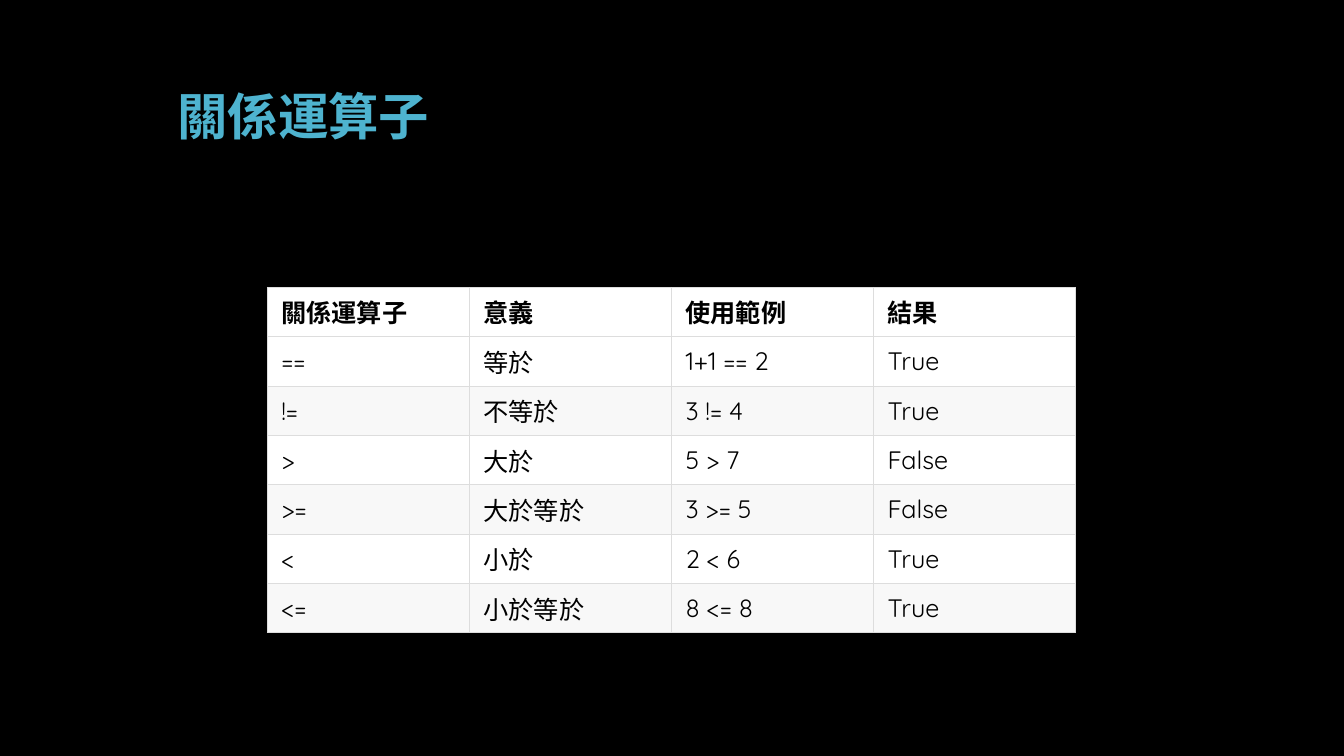
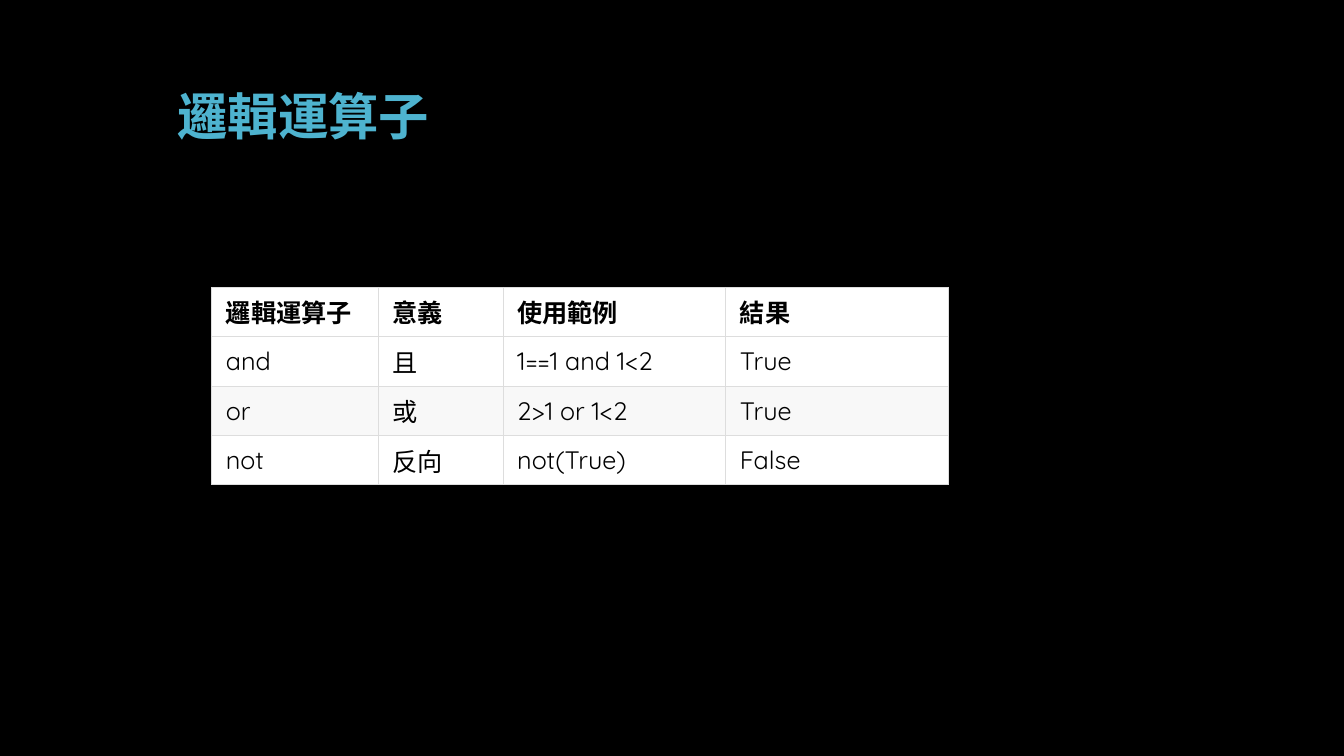
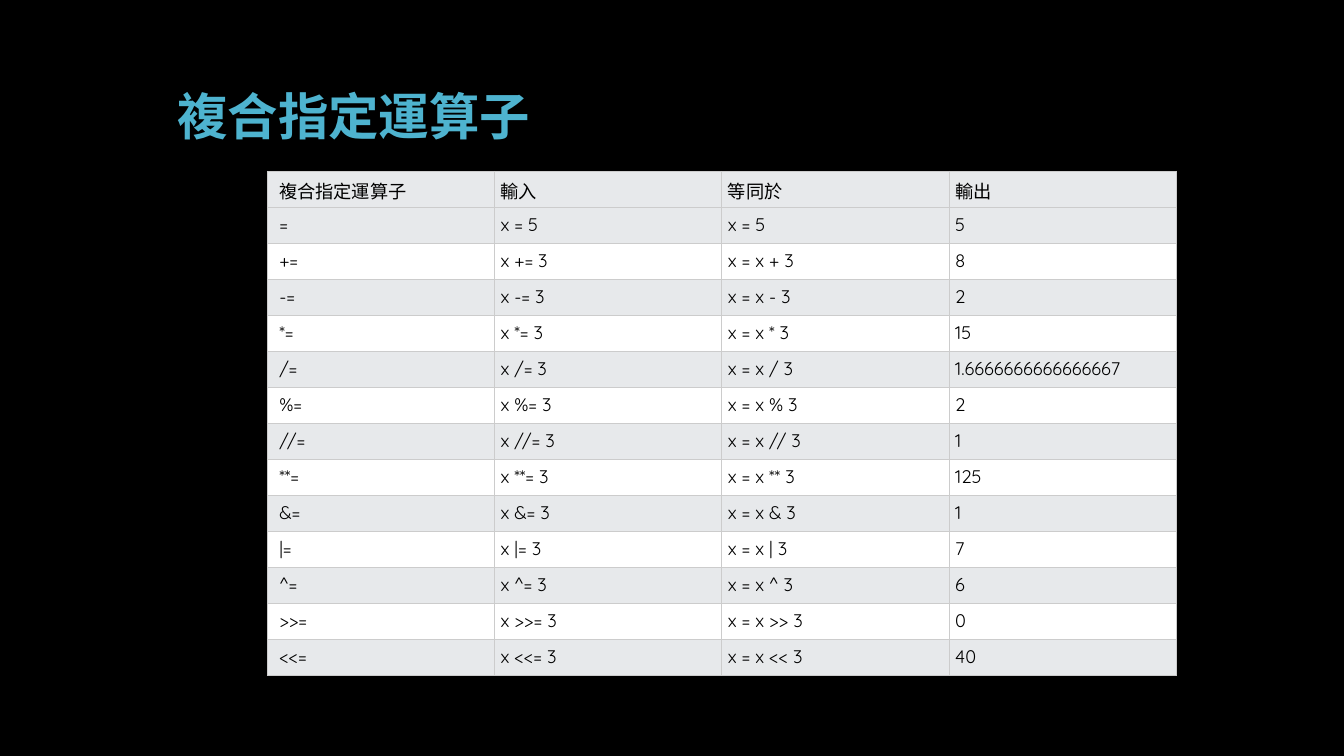
from lxml import etree
from pptx import Presentation
from pptx.dml.color import RGBColor
from pptx.enum.text import MSO_ANCHOR
from pptx.oxml.ns import qn
from pptx.util import Inches, Pt

BOTTOM = MSO_ANCHOR.BOTTOM
MIDDLE = MSO_ANCHOR.MIDDLE
TOP = MSO_ANCHOR.TOP

BLACK = "000000"
WHITE = "FFFFFF"
TITLE_BLUE = "4EB3CF"

LARGE = {
    "size": 18, "header_bold": True, "anchor": MIDDLE, "row_height": 0.49,
    "insets": (0.14, 0.14), "first_inset": 0.14, "border": "DDDDDD",
    "header_fill": WHITE, "band_fills": (WHITE, "F8F8F8"),
}
COMPACT = {
    "size": 13, "header_bold": False, "anchor": TOP, "row_height": 0.357,
    "insets": (0.06, 0.06), "first_inset": 0.12, "border": "CCCCCC",
    "header_fill": "E7E9EB", "band_fills": ("E7E9EB", WHITE),
}
COMPACT["row_height"] = 5 / 14

RELATIONAL = [
    ("關係運算子", "意義", "使用範例", "結果"),
    ("==", "等於", "1+1 == 2", "True"),
    ("!=", "不等於", "3 != 4", "True"),
    (">", "大於", "5 > 7", "False"),
    (">=", "大於等於", "3 >= 5", "False"),
    ("<", "小於", "2 < 6", "True"),
    ("<=", "小於等於", "8 <= 8", "True"),
]
LOGICAL = [
    ("邏輯運算子", "意義", "使用範例", "結果"),
    ("and", "且", "1==1 and 1<2", "True"),
    ("or", "或", "2>1 or 1<2", "True"),
    ("not", "反向", "not(True)", "False"),
]
COMPOUND_RESULTS = [
    ("+", "8"), ("-", "2"), ("*", "15"), ("/", "1.6666666666666667"),
    ("%", "2"), ("//", "1"), ("**", "125"), ("&", "1"), ("|", "7"),
    ("^", "6"), (">>", "0"), ("<<", "40"),
]
COMPOUND = [
    ("複合指定運算子", "輸入", "等同於", "輸出"),
    ("=", "x = 5", "x = 5", "5"),
] + [
    (f"{operator}=", f"x {operator}= 3", f"x = x {operator} 3", result)
    for operator, result in COMPOUND_RESULTS
]


def rgb(value):
    return RGBColor.from_string(value)


class Deck:
    font_name = "Quicksand"

    def __init__(self):
        self.presentation = Presentation()
        self.presentation.slide_width = Inches(13.33)
        self.presentation.slide_height = Inches(7.5)
        self.slide = None

    def add_slide(self, title):
        self.slide = self.presentation.slides.add_slide(self.presentation.slide_layouts[6])
        background = self.slide.background.fill
        background.solid()
        background.fore_color.rgb = rgb(BLACK)
        self.title(title)

    def style(self, paragraph, size, color, bold):
        font = paragraph.font
        font.name = self.font_name
        font.size = Pt(size)
        font.bold = bold
        font.color.rgb = rgb(color)

    def title(self, text):
        box = self.slide.shapes.add_textbox(Inches(1.66), 0, Inches(10), Inches(1.5))
        frame = box.text_frame
        frame.word_wrap = True
        frame.vertical_anchor = BOTTOM
        paragraph = frame.paragraphs[0]
        paragraph.text = text
        paragraph.line_spacing = 0.9
        self.style(paragraph, 36, TITLE_BLUE, True)

    def table(self, left, top, column_widths, rows, look):
        height = look["row_height"] * len(rows)
        table = self.slide.shapes.add_table(
            len(rows), len(column_widths), Inches(left), Inches(top),
            Inches(sum(column_widths)), Inches(height)).table
        table.first_row = False
        table.horz_banding = False
        for column, width in zip(table.columns, column_widths):
            column.width = Inches(width)
        for row_index, texts in enumerate(rows):
            table.rows[row_index].height = Inches(look["row_height"])
            for column_index, text in enumerate(texts):
                self.cell(table.cell(row_index, column_index), text, row_index, column_index, look)

    def cell(self, cell, text, row_index, column_index, look):
        is_header = row_index == 0
        left, right = look["insets"]
        cell.margin_left = Inches(look["first_inset"] if column_index == 0 else left)
        cell.margin_right = Inches(right)
        cell.margin_top = cell.margin_bottom = Inches(0.06)
        cell.vertical_anchor = look["anchor"]
        paragraph = cell.text_frame.paragraphs[0]
        paragraph.text = text
        self.style(paragraph, look["size"], BLACK, is_header and look["header_bold"])
        self.borders(cell, look["border"])
        cell.fill.solid()
        fill = look["header_fill"] if is_header else look["band_fills"][(row_index - 1) % 2]
        cell.fill.fore_color.rgb = rgb(fill)

    def borders(self, cell, color):
        properties = cell._tc.get_or_add_tcPr()
        for side in ("a:lnL", "a:lnR", "a:lnT", "a:lnB"):
            line = etree.SubElement(properties, qn(side), w=str(Pt(0.75)))
            solid = etree.SubElement(line, qn("a:solidFill"))
            etree.SubElement(solid, qn("a:srgbClr"), val=color)


def main():
    deck = Deck()
    deck.add_slide("關係運算子")
    deck.table(2.65, 2.85, [8.02 / 4] * 4, RELATIONAL, LARGE)
    deck.add_slide("邏輯運算子")
    deck.table(2.1, 2.85, [1.65, 1.24, 2.21, 2.21], LOGICAL, LARGE)
    deck.add_slide("複合指定運算子")
    deck.table(2.65, 1.7, [9.02 / 4] * 4, COMPOUND, COMPACT)
    deck.presentation.save("out.pptx")


if __name__ == "__main__":
    main()
